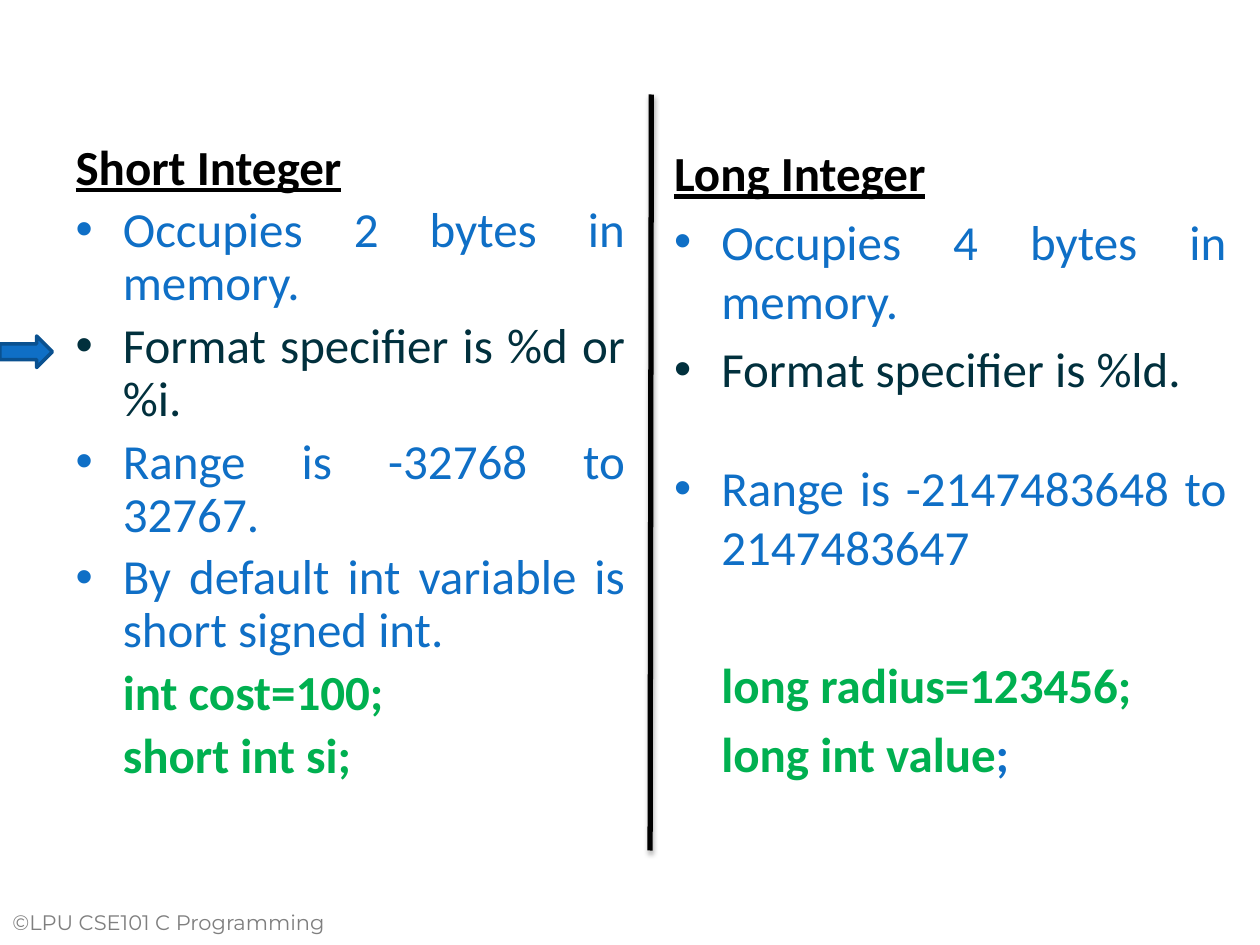
from dataclasses import dataclass

from lxml import etree
from pptx import Presentation
from pptx.dml.color import RGBColor
from pptx.enum.shapes import MSO_CONNECTOR, MSO_SHAPE
from pptx.enum.text import MSO_ANCHOR, MSO_AUTO_SIZE, PP_ALIGN
from pptx.oxml.ns import qn
from pptx.util import Pt

JUSTIFY = PP_ALIGN.JUSTIFY
TOP = MSO_ANCHOR.TOP
NO_AUTOFIT = MSO_AUTO_SIZE.NONE
RIGHT_ARROW = MSO_SHAPE.RIGHT_ARROW
STRAIGHT = MSO_CONNECTOR.STRAIGHT

BLACK, WHITE, GRAY = "000000", "FFFFFF", "7F7F7F"
BLUE, DARK_BLUE, TEAL, GREEN = "0F6FC6", "0A5190", "01303D", "00B050"
INDENT = 27
GAP = 5.6
LINE = 34.2  # height of one text line at 28 pt


@dataclass
class Item:
    text: str
    color: str = BLUE
    kind: str = "bullet"  # "heading", "bullet" or "code"
    before: float = GAP
    tail: str = ""  # closing text in blue


@dataclass
class Column:
    left: float
    width: float
    spacing: float
    items: list[Item]


COLUMNS = [
    Column(36, 328.3, 0.9, [
        Item("Short Integer", BLACK, "heading", 0),
        Item("Occupies 2 bytes in memory."),
        Item("Format specifier is %d or %i.", TEAL),
        Item("Range is -32768 to 32767."),
        Item("By default int variable is short signed int."),
        Item("int cost=100;", GREEN, "code"),
        Item("short int si;", GREEN, "code"),
    ]),
    Column(378, 330, 1.0, [
        Item("Long Integer", BLACK, "heading", 0),
        Item("Occupies 4 bytes in memory."),
        Item("Format specifier is %ld.", TEAL),
        Item("Range is -2147483648 to 2147483647", before=LINE),
        Item("long radius=123456;", GREEN, "code", LINE + 2 * GAP),
        Item("long int value", GREEN, "code", tail=";"),
    ]),
]


def rgb(color: str) -> RGBColor:
    return RGBColor.from_string(color)


def add_run(p, text: str, *, color: str, size: float = 28, font: str = "Calibri",
            bold: bool = False, underline: bool = False) -> None:
    r = p.add_run()
    r.text = text
    f = r.font
    f.name, f.size, f.bold, f.underline = font, Pt(size), bold, underline
    f.color.rgb = rgb(color)


def set_bullet(p, item: Item) -> None:
    """Set the bullet and the indents that go with the kind of item."""
    pPr = p._p.get_or_add_pPr()
    pPr.set("marL", str(Pt(INDENT)))
    pPr.set("indent", str(Pt(0 if item.kind == "code" else -INDENT)))
    if item.kind == "bullet":
        clr = etree.SubElement(pPr, qn("a:buClr"))
        etree.SubElement(clr, qn("a:srgbClr"), val=item.color)
        etree.SubElement(pPr, qn("a:buFont"), typeface="Arial")
        etree.SubElement(pPr, qn("a:buChar"), char="•")
    else:
        etree.SubElement(pPr, qn("a:buNone"))


def fill_column(sp, col: Column) -> None:
    sp.left, sp.top, sp.width, sp.height = Pt(col.left), Pt(78), Pt(col.width), Pt(402)
    sp.fill.solid()
    sp.fill.fore_color.rgb = rgb(WHITE)
    tf = sp.text_frame
    tf.word_wrap, tf.auto_size, tf.vertical_anchor = True, NO_AUTOFIT, TOP
    for i, item in enumerate(col.items):
        p = tf.add_paragraph() if i else tf.paragraphs[0]
        set_bullet(p, item)
        p.alignment = JUSTIFY
        p.line_spacing = col.spacing
        p.space_before = Pt(item.before)
        bold = item.kind != "bullet"
        add_run(p, item.text, color=item.color, bold=bold,
                underline=item.kind == "heading")
        if item.tail:
            add_run(p, item.tail, color=BLUE, bold=bold)


def add_divider(s) -> None:
    ln = s.shapes.add_connector(STRAIGHT, Pt(371.5), Pt(486), Pt(372.2), Pt(54))
    ln.line.color.rgb = rgb(BLACK)
    ln.line.width = Pt(3)
    effects = etree.SubElement(ln._element.spPr, qn("a:effectLst"))
    shadow = etree.SubElement(effects, qn("a:outerShdw"), blurRad=str(Pt(3.1)),
                              dist=str(Pt(1.8)), dir="5400000", rotWithShape="0")
    clr = etree.SubElement(shadow, qn("a:srgbClr"), val=BLACK)
    etree.SubElement(clr, qn("a:alpha"), val="35000")


def add_pointer(s) -> None:
    sp = s.shapes.add_shape(RIGHT_ARROW, Pt(0), Pt(192), Pt(30), Pt(18))
    sp.shadow.inherit = False
    sp.fill.solid()
    sp.fill.fore_color.rgb = rgb(BLUE)
    sp.line.color.rgb = rgb(DARK_BLUE)
    sp.line.width = Pt(2)


def add_footer(s) -> None:
    tf = s.shapes.add_textbox(Pt(0), Pt(516), Pt(216), Pt(30)).text_frame
    tf.word_wrap = True
    add_run(tf.paragraphs[0], "©LPU CSE101 C Programming",
            color=GRAY, size=12, font="Montserrat")


def main() -> None:
    prs = Presentation()
    prs.slide_width, prs.slide_height = Pt(720), Pt(540)
    s = prs.slides.add_slide(prs.slide_layouts[3])  # two content columns
    title, *bodies = s.placeholders
    title._element.getparent().remove(title._element)
    for sp, col in zip(bodies, COLUMNS):
        fill_column(sp, col)
    add_footer(s)
    add_pointer(s)
    add_divider(s)
    prs.save("out.pptx")


if __name__ == "__main__":
    main()
